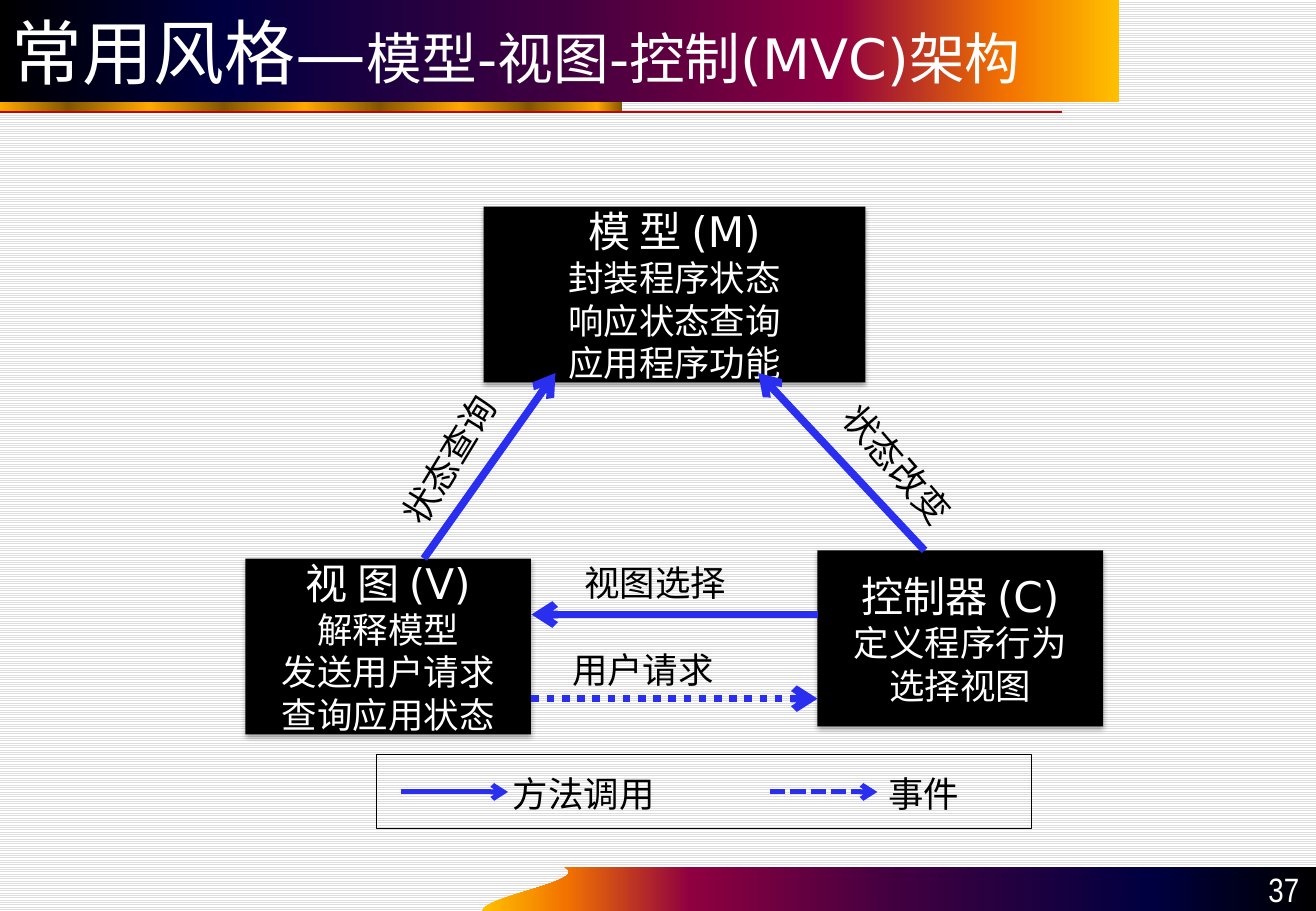
from lxml.etree import SubElement
from pptx import Presentation
from pptx.dml.color import RGBColor
from pptx.enum.dml import MSO_LINE, MSO_PATTERN
from pptx.enum.shapes import MSO_CONNECTOR, MSO_SHAPE
from pptx.enum.text import MSO_ANCHOR, MSO_AUTO_SIZE, PP_ALIGN
from pptx.oxml.ns import qn
from pptx.util import Cm, Pt

BLACK = RGBColor(0x00, 0x00, 0x00)
WHITE = RGBColor(0xFF, 0xFF, 0xFF)
GRAY = RGBColor(0xDD, 0xDD, 0xDD)
RED = RGBColor(0xCC, 0x00, 0x00)
BLUE = RGBColor(0x29, 0x2E, 0xEF)
NAVY = RGBColor(0x00, 0x00, 0x40)
PURPLE = RGBColor(0x40, 0x00, 0x40)
CRIMSON = RGBColor(0x8F, 0x00, 0x40)
ORANGE = RGBColor(0xF2, 0x73, 0x00)
AMBER = RGBColor(0xFF, 0xBF, 0x00)
GOLD = RGBColor(0xFF, 0xA8, 0x00)
BROWN = RGBColor(0x82, 0x56, 0x00)

SUNSET = [(0, BLACK), (20, NAVY), (50, PURPLE), (75, CRIMSON), (90, ORANGE), (100, AMBER)]
METAL = list(zip((0, 11, 24, 36, 49, 61, 74, 85, 96, 100), (GOLD, BROWN) * 5))

LATIN = "DejaVu Sans"
CJK = "Noto Sans CJK SC"
NARROW = "Arial Narrow"


def fill_gradient(sp, stops, angle=0):
    sp.shadow.inherit = False
    sp.line.fill.background()
    sp.fill.gradient()
    sp.fill.gradient_angle = angle
    gs_list = sp._element.spPr.find(qn("a:gradFill")).find(qn("a:gsLst"))
    for gs in list(gs_list):
        gs_list.remove(gs)
    for pos, color in stops:
        gs = SubElement(gs_list, qn("a:gs"), pos=str(pos * 1000))
        SubElement(gs, qn("a:srgbClr"), val=str(color))


def add_soft_shadow(sp):
    sp.shadow.inherit = False
    effects = sp._element.spPr.find(qn("a:effectLst"))
    shadow = SubElement(effects, qn("a:outerShdw"), blurRad="40000", dist="23000",
                        dir="5400000", rotWithShape="0")
    color = SubElement(shadow, qn("a:srgbClr"), val=str(BLACK))
    SubElement(color, qn("a:alpha"), val="35000")


def add_run(p, text, size, font, color):
    r = p.add_run()
    r.text = text
    r.font.size = Pt(size)
    r.font.name = font
    r.font.color.rgb = color
    SubElement(r._r.get_or_add_rPr(), qn("a:ea"), typeface=font)


def set_tight_margins(tf):
    tf.margin_left = tf.margin_right = Cm(0.1)
    tf.margin_top = tf.margin_bottom = Cm(0.05)


def add_line(slide, start, end, color, width, dash=None, arrow=True):
    line = slide.shapes.add_connector(MSO_CONNECTOR.STRAIGHT, *map(Cm, start + end))
    line.line.color.rgb = color
    line.line.width = Pt(width)
    if dash:
        line.line.dash_style = dash
    if arrow:
        SubElement(line.line._get_or_add_ln(), qn("a:tailEnd"), type="arrow")
    SubElement(line._element.spPr, qn("a:effectLst"))


def add_label(slide, text, left, top, width=3.2, rotation=0):
    sp = slide.shapes.add_textbox(Cm(left), Cm(top), Cm(width), Cm(1.02))
    sp.rotation = rotation
    tf = sp.text_frame
    set_tight_margins(tf)
    tf.word_wrap = False
    tf.auto_size = MSO_AUTO_SIZE.SHAPE_TO_FIT_TEXT
    add_run(tf.paragraphs[0], text, 21, CJK, BLACK)


def add_component(slide, left, top, width, name, letter, duties):
    sp = slide.shapes.add_shape(MSO_SHAPE.RECTANGLE, Cm(left), Cm(top), Cm(width), Cm(3.68))
    sp.fill.solid()
    sp.fill.fore_color.rgb = BLACK
    sp.line.fill.background()
    add_soft_shadow(sp)
    tf = sp.text_frame
    set_tight_margins(tf)
    tf.word_wrap = True
    tf.vertical_anchor = MSO_ANCHOR.MIDDLE
    p = tf.paragraphs[0]
    p.alignment = PP_ALIGN.CENTER
    add_run(p, name + " ", 25, CJK, WHITE)
    add_run(p, letter, 25, LATIN, WHITE)
    for duty in duties:
        p = tf.add_paragraph()
        p.alignment = PP_ALIGN.CENTER
        add_run(p, duty, 21, CJK, WHITE)


def add_header(slide, left, top, width, height):
    band = slide.shapes.add_shape(MSO_SHAPE.RECTANGLE, Cm(left), Cm(top + height - 0.2),
                                  Cm(13), Cm(0.41))
    fill_gradient(band, METAL)
    rule_y = top + height + 0.21
    add_line(slide, (left, rule_y), (left + 22.2, rule_y), RED, 0.75, arrow=False)
    title = slide.shapes.add_shape(MSO_SHAPE.RECTANGLE, Cm(left), Cm(top), Cm(width), Cm(height))
    fill_gradient(title, SUNSET)
    tf = title.text_frame
    tf.word_wrap = True
    tf.vertical_anchor = MSO_ANCHOR.MIDDLE
    p = tf.paragraphs[0]
    p.alignment = PP_ALIGN.LEFT
    add_run(p, "常用风格—", 42, LATIN, WHITE)
    add_run(p, "模型-视图-控制(MVC)架构", 33, LATIN, WHITE)


def add_footer(slide, left, top, width, height, number):
    curve = [(0, height), (0, 0.61), (2.29, 0.28), (1.73, 0)]
    wave = []
    for i in range(1, 21):
        t = i / 20
        weights = ((1 - t) ** 3, 3 * t * (1 - t) ** 2, 3 * t * t * (1 - t), t ** 3)
        wave.append(tuple(Cm(origin + sum(w * pt[axis] for w, pt in zip(weights, curve)))
                          for axis, origin in enumerate((left, top))))
    right, bottom = left + width, top + height
    builder = slide.shapes.build_freeform(Cm(left), Cm(bottom))
    builder.add_line_segments(wave + [(Cm(right), Cm(top)), (Cm(right), Cm(bottom))])
    fill_gradient(builder.convert_to_shape(), [(100 - pos, c) for pos, c in reversed(SUNSET)])
    sp = slide.shapes.add_textbox(Cm(right - 2.54), Cm(top - 0.03), Cm(2.44), Cm(1.02))
    tf = sp.text_frame
    tf.word_wrap = True
    tf.vertical_anchor = MSO_ANCHOR.BOTTOM
    p = tf.paragraphs[0]
    p.alignment = PP_ALIGN.RIGHT
    add_run(p, number, 20, NARROW, WHITE)


def add_mvc_diagram(slide, left, top):
    components = [
        (4.98, 0, 7.98, "模 型", "(M)", ["封装程序状态", "响应状态查询", "应用程序功能"]),
        (11.96, 7.19, 5.97, "控制器", "(C)", ["定义程序行为", "选择视图"]),
        (0, 7.36, 5.97, "视 图", "(V)", ["解释模型", "发送用户请求", "查询应用状态"]),
    ]
    arrows = [
        ((5.98, 10.29), (11.96, 10.29), MSO_LINE.ROUND_DOT),
        ((11.96, 8.53), (5.98, 8.53), None),
        ((3.73, 7.36), (6.48, 3.48), None),
        ((14.2, 7.19), (10.72, 3.48), None),
    ]
    labels = [
        ("视图选择", 6.99, 7.36, 0),
        ("用户请求", 6.73, 9.19, 0),
        ("状态改变", 12.04, 4.9, 49.1),
        ("状态查询", 2.67, 4.77, 301.3),
    ]
    for x, y, width, name, letter, duties in components:
        add_component(slide, left + x, top + y, width, name, letter, duties)
    for (x1, y1), (x2, y2), dash in arrows:
        add_line(slide, (left + x1, top + y1), (left + x2, top + y2), BLUE, 4.5, dash)
    for text, x, y, rotation in labels:
        add_label(slide, text, left + x, top + y, rotation=rotation)


def add_legend(slide, left, top, width, height):
    frame = slide.shapes.add_shape(MSO_SHAPE.RECTANGLE, Cm(left), Cm(top), Cm(width), Cm(height))
    frame.shadow.inherit = False
    frame.fill.background()
    frame.line.color.rgb = BLACK
    frame.line.width = Pt(0.5)
    y = top + 0.79
    entries = [("方法调用", 0.51, 2.75, 3.2, None),
               ("事件", 8.23, 10.6, 1.73, MSO_LINE.SQUARE_DOT)]
    for text, arrow_x, text_x, text_width, dash in entries:
        x = left + arrow_x
        add_line(slide, (x, y), (x + 2.24, y), BLUE, 3, dash)
        add_label(slide, text, left + text_x, top + 0.32, text_width)
        if dash:
            slide.shapes[-2].line.dash_style = dash


def main():
    prs = Presentation()
    prs.slide_width, prs.slide_height = Cm(27.51), Cm(19.05)
    slide = prs.slides.add_slide(prs.slide_layouts[6])
    background = slide.background.fill
    background.patterned()
    background.pattern = MSO_PATTERN.LIGHT_HORIZONTAL
    background.fore_color.rgb = GRAY
    background.back_color.rgb = WHITE
    add_footer(slide, 10.08, 18.14, 17.43, 0.91, "37")
    add_header(slide, 0, 0, 23.39, 2.13)
    add_mvc_diagram(slide, 5.13, 4.32)
    add_legend(slide, 7.87, 15.77, 13.69, 1.55)
    prs.save("out.pptx")


if __name__ == "__main__":
    main()
